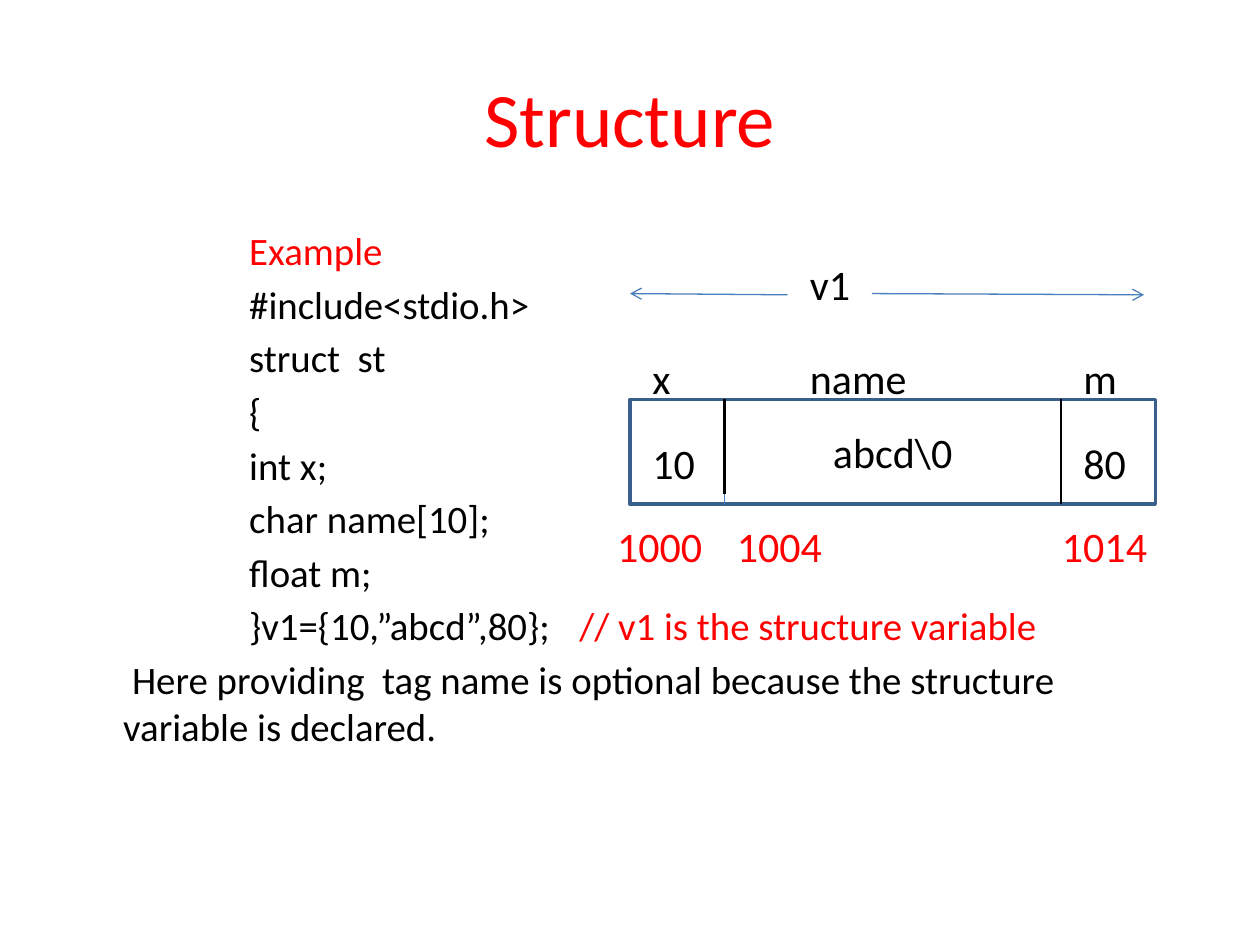
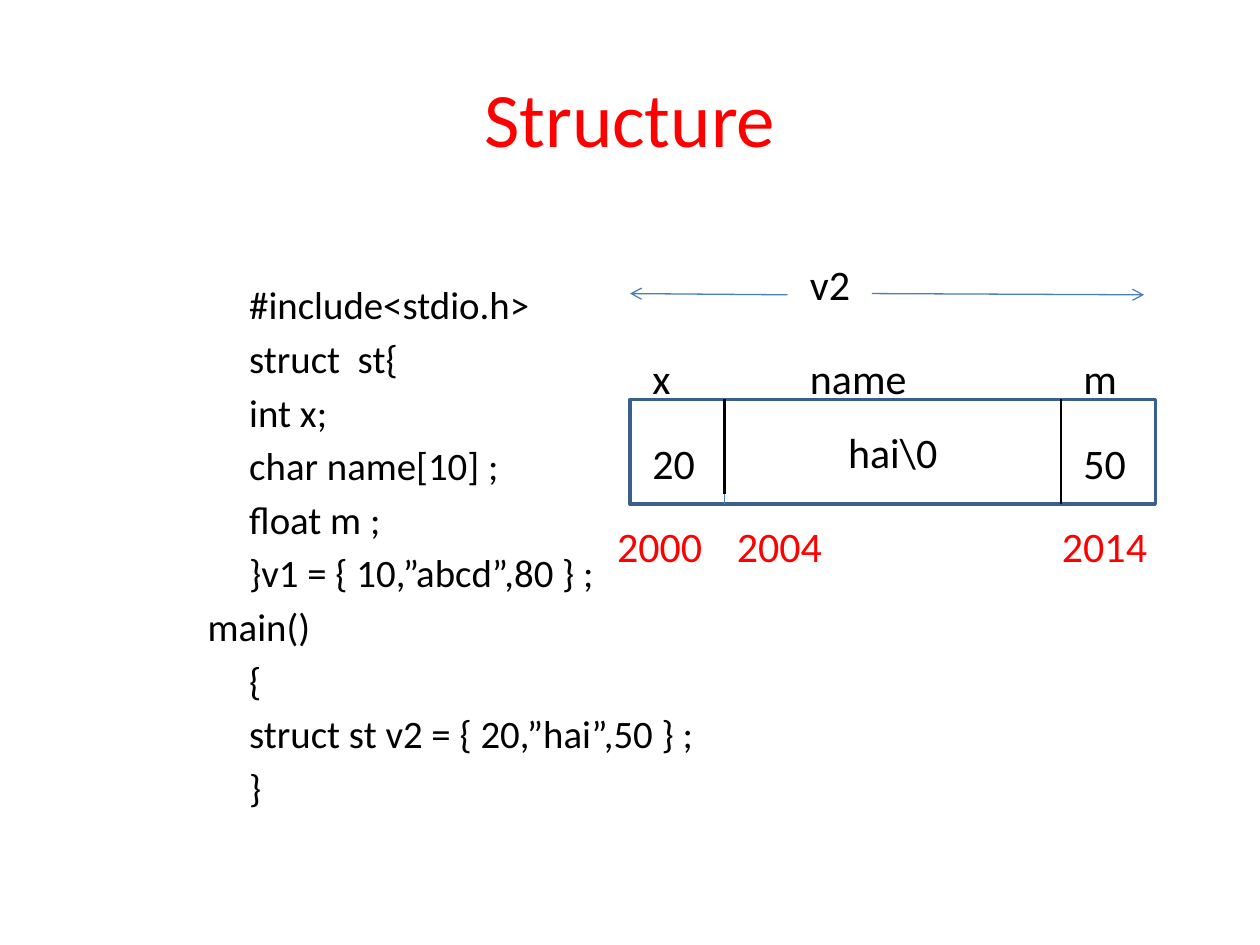
"""Two slides on C structures: code on the left, memory layout on the right."""
from lxml import etree
from pptx import Presentation
from pptx.dml.color import RGBColor
from pptx.enum.shapes import MSO_CONNECTOR as CONN, MSO_SHAPE as SHAPE
from pptx.enum.text import MSO_ANCHOR as ANCHOR, MSO_AUTO_SIZE as FIT, PP_ALIGN as ALIGN
from pptx.oxml.ns import qn
from pptx.util import Inches, Pt

COLORS = {"red": "FF0000", "black": "000000", "white": "FFFFFF",
          "border": "3A5F8C", "arrow": "4B7EBC"}
FONT = "Calibri"
TITLE = "Structure"
CODE, MAIN, NOTE = (0, 1.38), (0, 1.05), (0.38, 0.07)
COMMENT_TAB = 4.88
CODE_LINE = 0.43

SLIDES = [
    {"skip": 0,
     "lines": [
         (CODE, [("Example", "red")]),
         (CODE, [("#include<stdio.h>", "black")]),
         (CODE, [("struct  st", "black")]),
         (CODE, [("{", "black")]),
         (CODE, [("int x;", "black")]),
         (CODE, [("char name[10];", "black")]),
         (CODE, [("float m;", "black")]),
         (CODE, [("}v1={10,”abcd”,80};\t", "black"), ("// v1 is the structure variable", "red")]),
         (NOTE, [("Here providing  tag name is optional because the structure "
                  "variable is declared.", "black")])],
     "variable": "v1", "values": ("10", "abcd\\0", "80"),
     "addresses": ("1000", "1004", "1014")},
    {"skip": 1,
     "lines": [
         (CODE, [("#include<stdio.h>", "black")]),
         (CODE, [("struct  st{", "black")]),
         (CODE, [("int x;", "black")]),
         (CODE, [("char name[10] ;", "black")]),
         (CODE, [("float m ;", "black")]),
         (CODE, [("}v1 = { 10,”abcd”,80 } ;", "black")]),
         (MAIN, [("main()", "black")]),
         (CODE, [("{", "black")]),
         (CODE, [("struct st v2 = { 20,”hai”,50 } ;", "black")]),
         (CODE, [("}", "black")])],
     "variable": "v2", "values": ("20", "hai\\0", "50"),
     "addresses": ("2000", "2004", "2014")},
]

LEFT, TOP, WIDTH, HEIGHT = 5, 3.17, 4.17, 0.83
BOTTOM = TOP + HEIGHT
DIVIDERS = (5.75, 8.42)
MEMBERS = [("x", 5.08, 0.58), ("name", 6.33, 1.33), ("m", 8.5, 0.58)]
ADDRESS_BOXES = [(4.42, 1.33, 0.38), (5.75, 1.17, 0), (8.33, 1.08, 0)]
MEMBER_TOP, VALUE_TOP, ADDRESS_TOP, VARIABLE_TOP = 2.75, 3.42, 4.08, 2
STUB = 0.08


def rgb(name):
    return RGBColor.from_string(COLORS[name])


def style(p, size, color="black"):
    p.font.name, p.font.size = FONT, Pt(size)
    p.font.color.rgb = rgb(color)


def indent(p, margin, first):
    pPr = p._p.get_or_add_pPr()
    pPr.set("marL", str(Inches(margin)))
    pPr.set("indent", str(Inches(first)))
    return pPr


def add_frame(s, x, y, w, h):
    tf = s.shapes.add_textbox(Inches(x), Inches(y), Inches(w), Inches(h)).text_frame
    tf.word_wrap = True
    return tf


def add_label(s, text, x, y, w, color="black", margin=0):
    tf = add_frame(s, x, y, w, 0.5)
    tf.auto_size = FIT.SHAPE_TO_FIT_TEXT
    p = tf.paragraphs[0]
    p.text = text
    style(p, 24, color)
    if margin:
        indent(p, margin, 0)


def add_line(s, x1, y1, x2, y2, color, width, arrow=False):
    sp = s.shapes.add_connector(CONN.STRAIGHT, *map(Inches, (x1, y1, x2, y2)))
    sp.line.color.rgb, sp.line.width = rgb(color), Pt(width)
    if arrow:
        etree.SubElement(sp.line._get_or_add_ln(), qn("a:tailEnd"), type="arrow")
    etree.SubElement(sp._element.spPr, qn("a:effectLst"))


def add_title(s):
    tf = add_frame(s, 0.5, 0.3, 9, 1.25)
    tf.vertical_anchor = ANCHOR.MIDDLE
    p = tf.paragraphs[0]
    p.text, p.alignment = TITLE, ALIGN.CENTER
    style(p, 44, "red")


def add_code(s, lines, skip):
    tf = add_frame(s, 0.5, 1.75, 9, 4.95)
    tf.margin_top = Inches(0.05 + skip * CODE_LINE)
    for i, (level, runs) in enumerate(lines):
        p = tf.add_paragraph() if i else tf.paragraphs[0]
        p.space_before = Pt(4 if i else 0)
        style(p, 22.2)
        pPr = indent(p, *level)
        if len(runs) > 1:
            tabs = etree.Element(qn("a:tabLst"))
            etree.SubElement(tabs, qn("a:tab"), pos=str(Inches(COMMENT_TAB)), algn="l")
            pPr.find(qn("a:defRPr")).addprevious(tabs)
        for text, color in runs:
            r = p.add_run()
            r.text = text
            r.font.color.rgb = rgb(color)


def add_memory(s, variable, values, addresses):
    sp = s.shapes.add_shape(SHAPE.RECTANGLE, *map(Inches, (LEFT, TOP, WIDTH, HEIGHT)))
    sp.shadow.inherit = False
    sp.fill.solid()
    sp.fill.fore_color.rgb = rgb("white")
    sp.line.color.rgb, sp.line.width = rgb("border"), Pt(2)
    sp.text_frame.vertical_anchor = ANCHOR.MIDDLE
    first, middle, last = values
    p = sp.text_frame.paragraphs[0]
    p.text, p.alignment = middle, ALIGN.CENTER
    style(p, 24)

    x1, x2 = DIVIDERS
    add_line(s, x1, TOP, x1, BOTTOM - STUB, "black", 1.25)
    add_line(s, x2, TOP, x2, BOTTOM, "black", 1.25)
    add_line(s, x1, BOTTOM - STUB, x1, BOTTOM, "arrow", 0.75)
    for text, (_, x, w) in zip((first, last), MEMBERS[::2]):
        add_label(s, text, x, VALUE_TOP, w)
    for text, (x, w, margin) in zip(addresses, ADDRESS_BOXES):
        add_label(s, text, x, ADDRESS_TOP, w, "red", margin)
    for text, x, w in MEMBERS:
        add_label(s, text, x, MEMBER_TOP, w)
    add_line(s, 6.92, 2.33, 9.08, 2.34, "arrow", 0.75, True)
    add_line(s, 6.25, 2.34, LEFT, 2.33, "arrow", 0.75, True)
    add_label(s, variable, 6.33, VARIABLE_TOP, 0.58)


prs = Presentation()
prs.slide_width, prs.slide_height = Inches(10), Inches(7.5)
for data in SLIDES:
    s = prs.slides.add_slide(prs.slide_layouts[6])
    add_title(s)
    add_code(s, data["lines"], data["skip"])
    add_memory(s, data["variable"], data["values"], data["addresses"])
prs.save("out.pptx")
